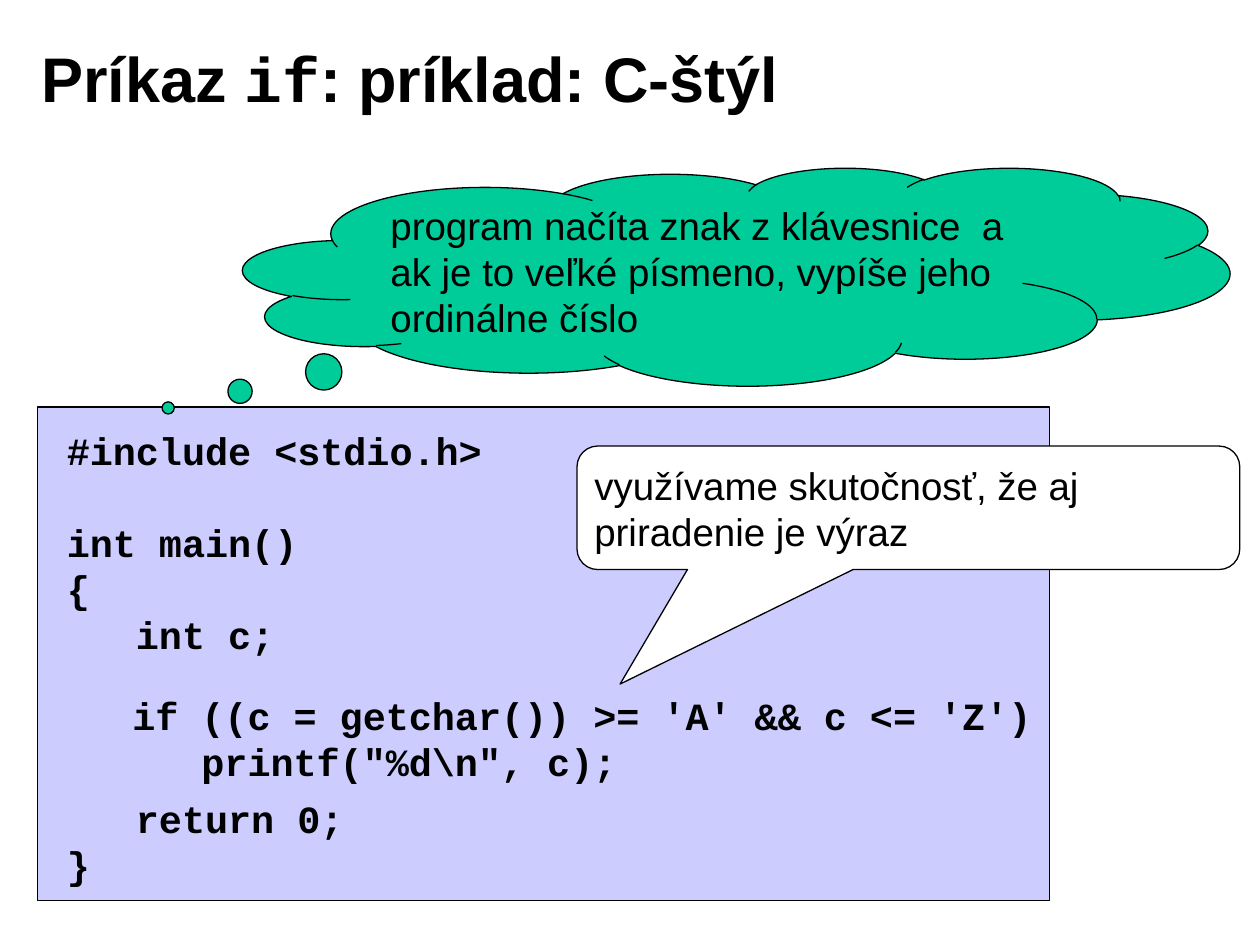
from pptx import Presentation
from pptx.dml.color import RGBColor
from pptx.enum.shapes import MSO_SHAPE as Shape
from pptx.enum.text import MSO_ANCHOR as Anchor, PP_ALIGN as Align
from pptx.util import Inches, Pt

SANS, MONO = "Arial", "Courier New"
BLACK, WHITE, LILAC, GREEN = "000000", "FFFFFF", "CCCCFF", "00CC99"
BODY_SIZE = 22
LINE_PITCH = 26.3


def color(hex_string):
    return RGBColor.from_string(hex_string)


def add_run(paragraph, text, font_name, size=BODY_SIZE, bold=False):
    run = paragraph.add_run()
    run.text = text
    run.font.name = font_name
    run.font.size = Pt(size)
    run.font.bold = bold
    run.font.color.rgb = color(BLACK)


def set_frame(frame, anchor, side_margin=0.09):
    frame.word_wrap = True
    frame.vertical_anchor = anchor
    frame.margin_left = frame.margin_right = Inches(side_margin)
    frame.margin_top = frame.margin_bottom = Inches(0.05)


def add_outlined_shape(slide, kind, box, fill, adjustments=()):
    shape = slide.shapes.add_shape(kind, *map(Inches, box))
    shape.shadow.inherit = False
    shape.fill.solid()
    shape.fill.fore_color.rgb = color(fill)
    shape.line.color.rgb = color(BLACK)
    shape.line.width = Pt(0.75)
    for index, value in enumerate(adjustments):
        shape.adjustments[index] = value
    return shape


def add_title(slide, box):
    frame = slide.shapes.add_textbox(*map(Inches, box)).text_frame
    set_frame(frame, Anchor.MIDDLE, side_margin=0.1)
    paragraph = frame.paragraphs[0]
    for text, font_name in (("Príkaz ", SANS), ("if", MONO), (": príklad: C-štýl", SANS)):
        add_run(paragraph, text, font_name, size=36, bold=True)


def add_code(slide, box, lines):
    """Place code given as (blank lines before, text) pairs."""
    frame = slide.shapes.add_textbox(*map(Inches, box)).text_frame
    set_frame(frame, Anchor.TOP)
    for index, (blank_lines, text) in enumerate(lines):
        paragraph = frame.add_paragraph() if index else frame.paragraphs[0]
        paragraph.line_spacing = Pt(LINE_PITCH)
        if blank_lines:
            paragraph.space_before = Pt(blank_lines * LINE_PITCH)
        add_run(paragraph, text, MONO, bold=True)


def add_callout(slide, kind, box, fill, adjustments, text):
    callout = add_outlined_shape(slide, kind, box, fill, adjustments)
    set_frame(callout.text_frame, Anchor.MIDDLE)
    paragraph = callout.text_frame.paragraphs[0]
    paragraph.alignment = Align.LEFT
    paragraph.line_spacing = Pt(LINE_PITCH)
    add_run(paragraph, text, SANS)


def main():
    presentation = Presentation()
    presentation.slide_width = Inches(10)
    presentation.slide_height = Inches(7.5)
    slide = presentation.slides.add_slide(presentation.slide_layouts[6])

    add_title(slide, (0.23, 0.15, 8.03, 0.93))
    add_outlined_shape(slide, Shape.RECTANGLE, (0.3, 3.23, 8.03, 3.92), LILAC)
    add_code(slide, (0.44, 3.34, 3.7, 3.76), [
        (0, "#include <stdio.h>"),
        (1, "int main()"),
        (0, "{"),
        (0, "   int c;"),
        (3, "   return 0;"),
        (0, "}"),
    ])
    add_callout(slide, Shape.CLOUD_CALLOUT, (1.93, 1.33, 7.83, 1.73), GREEN,
                (-0.576, 0.603),
                "program načíta znak z klávesnice  a ak je to veľké písmeno, "
                "vypíše jeho ordinálne číslo")
    add_code(slide, (0.96, 5.44, 7.6, 0.82), [
        (0, "if ((c = getchar()) >= 'A' && c <= 'Z')"),
        (0, "   printf(\"%d\\n\", c);"),
    ])
    add_callout(slide, Shape.ROUNDED_RECTANGULAR_CALLOUT, (4.58, 3.54, 5.26, 0.98), WHITE,
                (-0.435, 1.428, 0.167),
                "využívame skutočnosť, že aj priradenie je výraz")

    presentation.save("out.pptx")


if __name__ == "__main__":
    main()
